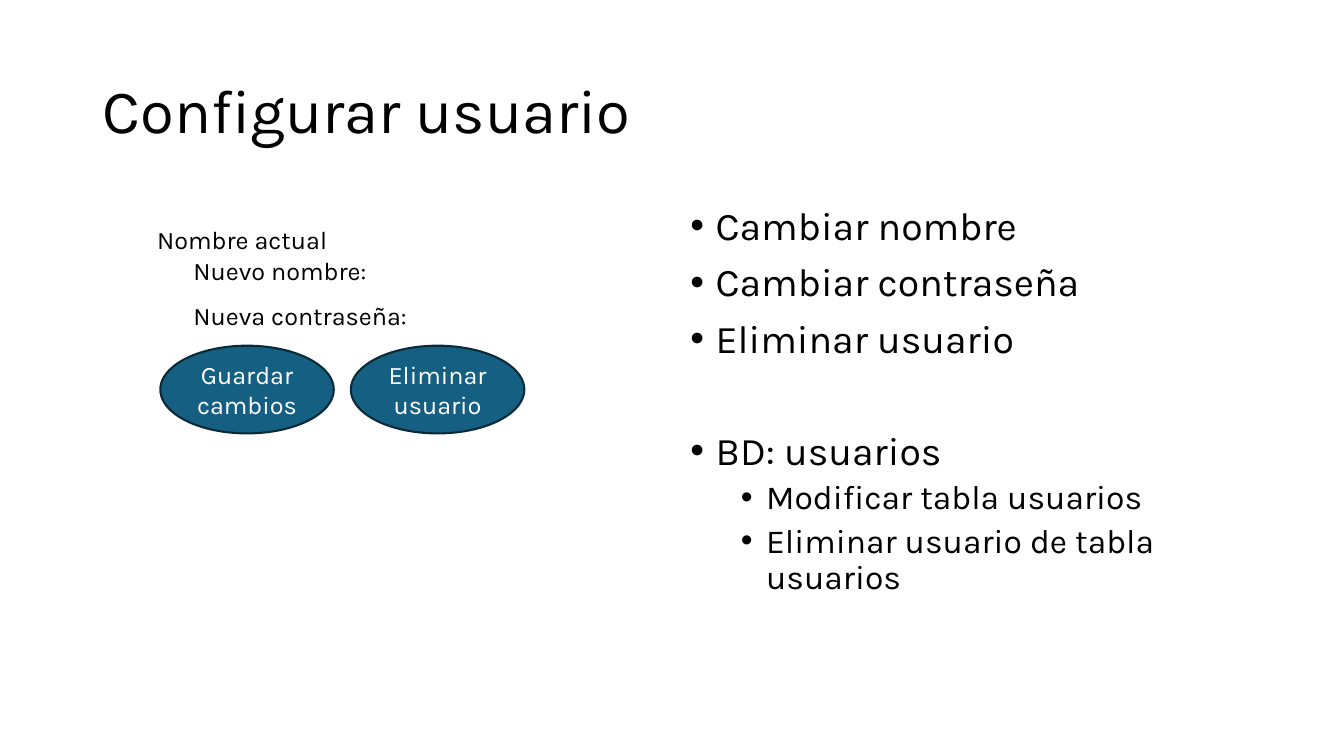
from lxml import etree
from pptx import Presentation
from pptx.dml.color import RGBColor
from pptx.enum.shapes import MSO_SHAPE
from pptx.enum.text import MSO_ANCHOR, PP_ALIGN
from pptx.oxml.ns import qn
from pptx.util import Inches, Pt

FONT = "Karla"
BLACK = RGBColor(0x00, 0x00, 0x00)
WHITE = RGBColor(0xFF, 0xFF, 0xFF)
BLUE = RGBColor(0x15, 0x60, 0x82)
DARK_BLUE = RGBColor(0x09, 0x2A, 0x39)

deck = Presentation()
deck.slide_width, deck.slide_height = Inches(13.33), Inches(7.5)
page = deck.slides.add_slide(deck.slide_layouts[6])


def write(para, text, size, color=BLACK):
    para.text = text
    para.font.name = FONT
    para.font.size = Pt(size)
    para.font.color.rgb = color


def add_frame(left, top, width, height):
    box = page.shapes.add_textbox(Inches(left), Inches(top), Inches(width), Inches(height))
    box.text_frame.word_wrap = True
    return box.text_frame


# Title
title = add_frame(0.92, 0.4, 11.5, 1.45)
title.vertical_anchor = MSO_ANCHOR.MIDDLE
write(title.paragraphs[0], "Configurar usuario", 44)
title.paragraphs[0].line_spacing = 0.9

# Bulleted list: text, level, space before
bullets = [
    ("Cambiar nombre", 0, 10),
    ("Cambiar contraseña", 0, 10),
    ("Eliminar usuario", 0, 10),
    ("BD: usuarios", 0, 50),
    ("Modificar tabla usuarios", 1, 5),
    ("Eliminar usuario de tabla usuarios", 1, 5),
]
features = add_frame(6.75, 2, 5.67, 4.76)
for index, (text, level, space) in enumerate(bullets):
    para = features.add_paragraph() if index else features.paragraphs[0]
    write(para, text, 28 - 4 * level)
    para.level = level
    para.line_spacing = 0.9
    para.space_before = Pt(space)
    props = para._p.get_or_add_pPr()
    props.set("marL", str(Inches(0.25 + 0.5 * level)))
    props.set("indent", str(Inches(-0.25)))
    bullet_font = etree.Element(qn("a:buFont"), typeface="Arial")
    bullet_char = etree.Element(qn("a:buChar"), char="•")
    props.insert_element_before(bullet_font, "a:defRPr")
    props.insert_element_before(bullet_char, "a:defRPr")

# Form labels: top, height, lines with their indents
labels = [
    (2.18, 0.71, [("Nombre actual", 0), ("Nuevo nombre:", 0.36)]),
    (2.93, 0.4, [("Nueva contraseña:", 0.36)]),
]
for top, height, lines in labels:
    label = add_frame(1.46, top, 4.04, height)
    for index, (text, indent) in enumerate(lines):
        para = label.add_paragraph() if index else label.paragraphs[0]
        write(para, text, 18)
        para._p.get_or_add_pPr().set("marL", str(Inches(indent)))

# Buttons
for index, text in enumerate(["Guardar cambios", "Eliminar usuario"]):
    button = page.shapes.add_shape(
        MSO_SHAPE.OVAL, Inches(1.59 + 1.89 * index), Inches(3.43), Inches(1.72), Inches(0.87))
    button.shadow.inherit = False
    button.fill.solid()
    button.fill.fore_color.rgb = BLUE
    button.line.color.rgb = DARK_BLUE
    button.line.width = Pt(1.5)
    button.text_frame.word_wrap = True
    button.text_frame.vertical_anchor = MSO_ANCHOR.MIDDLE
    para = button.text_frame.paragraphs[0]
    write(para, text, 18, WHITE)
    para.alignment = PP_ALIGN.CENTER

deck.save("out.pptx")
